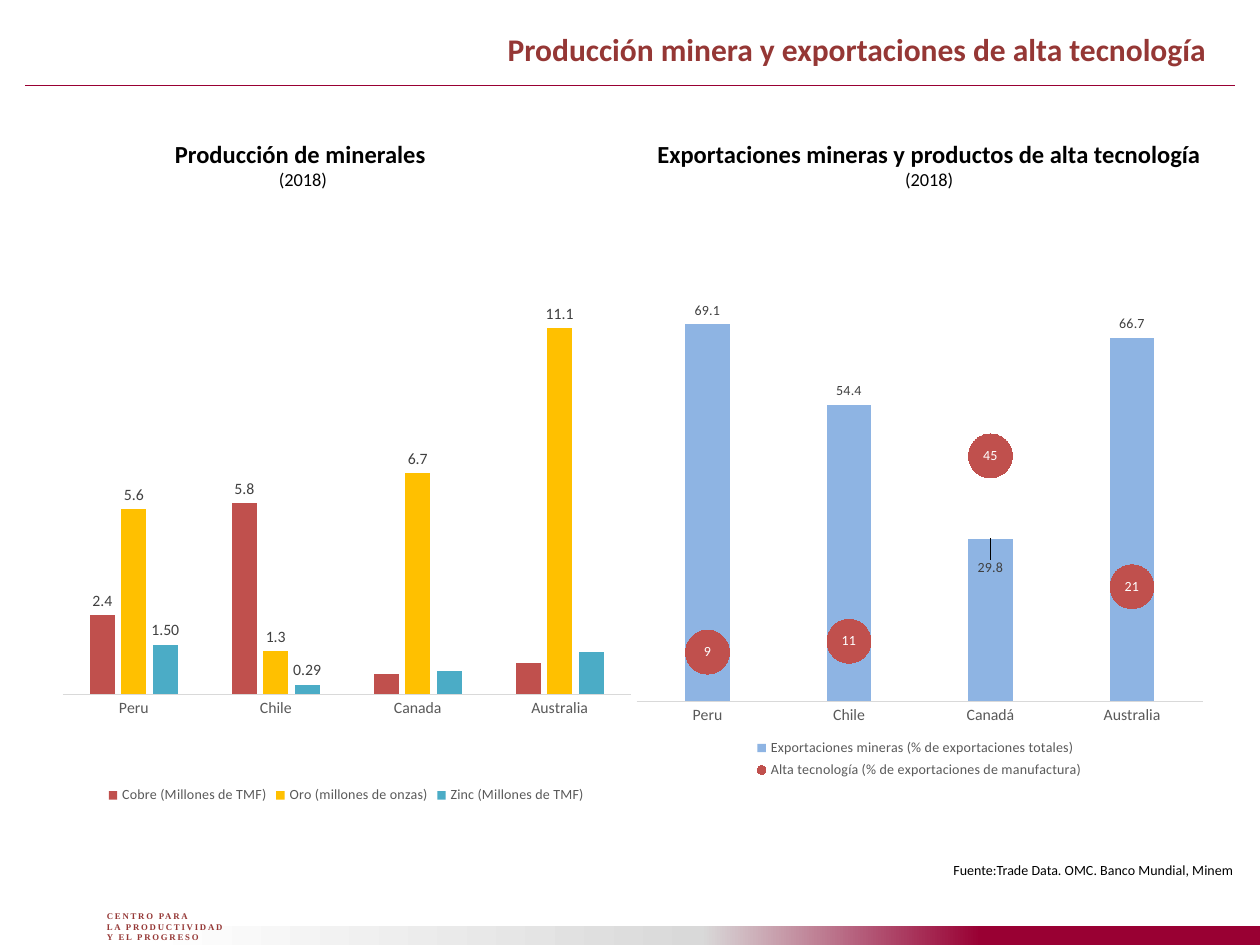
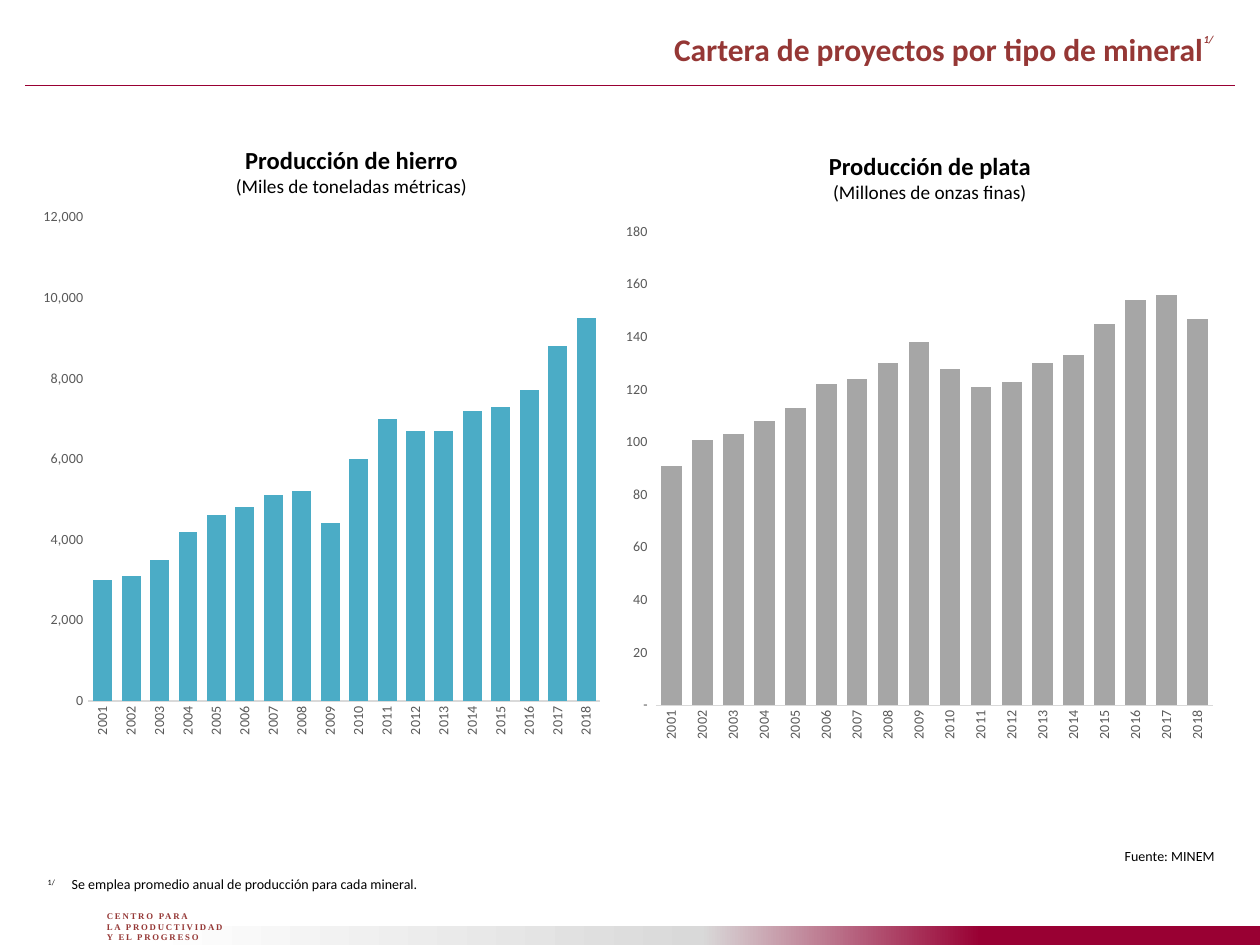
from copy import deepcopy

from lxml import etree
from pptx import Presentation
from pptx.chart.data import CategoryChartData
from pptx.dml.color import RGBColor
from pptx.enum.chart import XL_CHART_TYPE as ChartType, XL_LABEL_POSITION as LabelPos
from pptx.enum.chart import XL_LEGEND_POSITION as LegendPos, XL_MARKER_STYLE as Marker
from pptx.enum.chart import XL_TICK_MARK as Tick
from pptx.enum.shapes import MSO_CONNECTOR as Connector, MSO_SHAPE as Shape
from pptx.enum.text import PP_ALIGN as Align
from pptx.oxml import parse_xml
from pptx.oxml.ns import qn
from pptx.util import Inches, Pt

FONT = "Calibri"
WINE, BRICK, BLACK = "990033", "953735", "000000"
RED, GOLD, TEAL, BLUE, SILVER = "C0504D", "FFC000", "4BACC6", "8EB4E3", "A6A6A6"
AXIS_TEXT, LABEL_TEXT, AXIS_LINE = "595959", "404040", "D9D9D9"
BAND_STOPS = [(0.25, WINE), (0.5, "D9D9D9"), (1, "FFFFFF")]
CENTRE_NAME = ["CENTRO PARA ", "LA PRODUCTIVIDAD", "Y EL PROGRESO"]
A_NS = 'xmlns:a="http://schemas.openxmlformats.org/drawingml/2006/main"'
C_NS = 'xmlns:c="http://schemas.openxmlformats.org/drawingml/2006/chart"'
YEARS = [str(year) for year in range(2001, 2019)]

# series: name, values, colour, number format, label rule ("all", or labelled points)
MINERALS = dict(
    at=(0.35, 2.15, 4.8, 4.27), plot=(0.031, 0.051, 0.939, 0.736),
    categories=["Peru", "Chile", "Canada", "Australia"], gap=219, top=12, size=9,
    series=[
        ("Cobre (Millones de TMF)", [2.4, 5.8, 0.6, 0.95], RED, "General", [0, 1]),
        ("Oro (millones de onzas)", [5.6, 1.3, 6.7, 11.1], GOLD, "#,##0.0", "all"),
        ("Zinc (Millones de TMF)", [1.5, 0.29, 0.7, 1.29], TEAL, "0.00", [0, 1]),
    ])
EXPORTS = dict(
    at=(4.9, 1.95, 4.8, 4.27), plot=(0.032, 0.036, 0.936, 0.811),
    categories=["Peru", "Chile", "Canadá", "Australia"], gap=219, top=80, size=9,
    label_size=8,
    series=[
        ("Exportaciones mineras (% de exportaciones totales)",
         [69.1, 54.4, 29.8, 66.7], BLUE, "#,##0.0", "all"),
        ("Alta tecnología (% de exportaciones de manufactura)",
         [9, 11, 45, 21], RED, "#,##0", []),
    ])
IRON = dict(
    at=(0.2, 1.57, 4.57, 4.38), plot=(0.11, 0.035, 0.89, 0.877),
    categories=YEARS, gap=50, top=12000, step=2000, size=8, axis_format="#,##0",
    series=[("Hierro", [3000, 3100, 3500, 4200, 4600, 4800, 5100, 5200, 4400, 6000,
                        7000, 6700, 6700, 7200, 7300, 7700, 8800, 9500],
             TEAL, "#,##0", [])])
SILVER_OUTPUT = dict(
    at=(4.84, 1.69, 4.88, 4.27), plot=(0.075, 0.035, 0.906, 0.88),
    categories=YEARS, gap=50, top=180, step=20, size=8,
    axis_format='#,##0_);(#,##0);"-"_)',
    series=[("Plata", [91, 101, 103, 108, 113, 122, 124, 130, 138, 128, 121, 123, 130,
                       133, 145, 154, 156, 147], SILVER, "#,##0", [])])

# headings: place, bold line, line below, size of the line below
SLIDES = [
    dict(title="Producción minera y exportaciones de alta tecnología ", mark="",
         headings=[((5.01, 1.05, 4.73, 0.51),
                    "Exportaciones mineras y productos de alta tecnología", "(2018)", 10.5),
                   ((0.04, 1.05, 4.73, 0.51), "Producción de minerales ", "(2018)", 10.5)],
         charts=[MINERALS, EXPORTS],
         source=((7.44, 6.79, 2.45, 0.24), "Fuente:Trade Data. OMC. Banco Mundial, Minem"),
         note=None),
    dict(title="Cartera de proyectos por tipo de mineral", mark="1/",
         headings=[((0.43, 1.1, 4.72, 0.54), "Producción de hierro",
                    "(Miles de toneladas métricas)", 11),
                   ((5.02, 1.15, 4.72, 0.54), "Producción de plata",
                    "(Millones de onzas finas)", 11)],
         charts=[IRON, SILVER_OUTPUT],
         source=((8.82, 6.68, 0.92, 0.24), "Fuente: MINEM"),
         note=("1/", "\tSe emplea promedio anual de producción para cada mineral.")),
]


def rgb(code):
    """Turn a hex string into a colour."""
    return RGBColor.from_string(code)


def style(font, size, color, bold=False, name=FONT):
    """Set the usual properties of a font."""
    font.name, font.size, font.bold = name, Pt(size), bold
    font.color.rgb = rgb(color)


def add_text(slide, at, lines, align=Align.LEFT, wrap=True):
    """Add a text box; each line is (text, size, colour, bold, font). Return paragraphs."""
    frame = slide.shapes.add_textbox(*map(Inches, at)).text_frame
    frame.word_wrap = wrap
    for number, (text, *look) in enumerate(lines):
        paragraph = frame.add_paragraph() if number else frame.paragraphs[0]
        paragraph.add_run().text = text
        paragraph.alignment = align
        style(paragraph.font, *look)
    return frame.paragraphs


def raise_run(run, percent):
    """Set a run as superscript."""
    run.font._element.set("baseline", str(percent * 1000))


def add_frame(slide):
    """Draw the title rule, the bottom band and the name of the centre."""
    rule = slide.shapes.add_connector(Connector.STRAIGHT, Inches(0.2), Inches(0.68),
                                      Inches(9.8), Inches(0.68))
    rule.line.color.rgb = rgb(WINE)
    rule.line.width = Pt(0.75)
    rule._element.spPr.append(parse_xml(
        f'<a:effectLst {A_NS}><a:outerShdw blurRad="50800" dist="38100" dir="2700000">'
        f'<a:srgbClr val="{BLACK}"><a:alpha val="40000"/></a:srgbClr>'
        '</a:outerShdw></a:effectLst>'))

    band = slide.shapes.add_shape(Shape.RECTANGLE, *map(Inches, (1.14, 7.35, 8.86, 0.15)))
    band.shadow.inherit = False
    band.line.fill.background()
    band.fill.gradient()
    band.fill.gradient_angle = 180
    stops = band._element.spPr.find(".//" + qn("a:gsLst"))
    stops.append(deepcopy(stops[0]))
    for stop, (position, color) in zip(band.fill.gradient_stops, BAND_STOPS):
        stop.position = position
        stop.color.rgb = rgb(color)

    name_lines = [(line, 5, BRICK, True, "Times New Roman") for line in CENTRE_NAME]
    for paragraph in add_text(slide, (0.75, 7.18, 1.81, 0.35), name_lines):
        paragraph.runs[0].font._element.set("spc", "100")


def manual_layout(numbers, inner=False):
    """Return a chart layout: x and y, and w and h where given."""
    target = ('<c:layoutTarget val="inner"/><c:xMode val="edge"/><c:yMode val="edge"/>'
              if inner else "")
    parts = "".join(f'<c:{key} val="{value}"/>' for key, value in zip("xywh", numbers))
    return parse_xml(f"<c:layout {C_NS}><c:manualLayout>{target}{parts}"
                     "</c:manualLayout></c:layout>")


def style_axes(chart, content):
    """Format both axes; without a step the value axis is hidden."""
    across, up = chart.category_axis, chart.value_axis
    across.format.line.color.rgb = rgb(AXIS_LINE)
    across.format.line.width = Pt(0.75)
    up.minimum_scale, up.maximum_scale = 0, content["top"]
    for axis in (across, up):
        axis.has_major_gridlines = False
        axis.major_tick_mark = axis.minor_tick_mark = Tick.NONE
        style(axis.tick_labels.font, content["size"], AXIS_TEXT)
    if "step" in content:
        up.major_unit = content["step"]
        up.format.line.fill.background()
        up.tick_labels.number_format = content["axis_format"]
        up.tick_labels.number_format_is_linked = False
        across._element.find(".//" + qn("a:bodyPr")).set("rot", "-5400000")
    else:
        up.visible = False


def label_series(series, number_format, rule, size, color=LABEL_TEXT,
                 position=LabelPos.OUTSIDE_END):
    """Show the values of all points, or of the listed ones."""
    labels = series.data_labels
    labels.show_value = rule == "all"
    if rule == "all":
        labels.number_format, labels.number_format_is_linked = number_format, False
        labels.position = position
        style(labels.font, size, color)
        return
    for point in rule:
        label = series.points[point].data_label
        style(label.font, size, color)
        label.position = position


def add_columns(slide, content):
    """Add a clustered column chart."""
    data = CategoryChartData()
    data.categories = content["categories"]
    for name, values, _, number_format, _ in content["series"]:
        data.add_series(name, values, number_format)
    chart = slide.shapes.add_chart(ChartType.COLUMN_CLUSTERED,
                                   *map(Inches, content["at"]), data).chart
    style(chart.font, 10, BLACK)
    chart.has_title = False
    chart.has_legend = len(content["series"]) > 1
    if chart.has_legend:
        chart.legend.position = LegendPos.BOTTOM
        chart.legend.include_in_layout = False
        style(chart.legend.font, 8, AXIS_TEXT)
    columns = chart.plots[0]
    columns.gap_width, columns.overlap = content["gap"], -27
    columns.vary_by_categories = False
    style_axes(chart, content)
    for series, (_, _, color, number_format, rule) in zip(columns.series, content["series"]):
        series.format.fill.solid()
        series.format.fill.fore_color.rgb = rgb(color)
        if rule:
            label_series(series, number_format, rule, content.get("label_size", 9))
    plot_area = chart._chartSpace.chart.plotArea
    for layout in plot_area.findall(qn("c:layout")):
        plot_area.remove(layout)
    plot_area.insert(0, manual_layout(content["plot"], inner=True))
    return chart


def turn_into_markers(chart, color):
    """Move the last series to a second, hidden axis and show it as circles."""
    plot_area = chart._chartSpace.chart.plotArea
    bars = plot_area.find(qn("c:barChart"))
    moved = bars.findall(qn("c:ser"))[-1]
    for tag in ("c:spPr", "c:invertIfNegative"):
        for part in moved.findall(qn(tag)):
            moved.remove(part)
    lines = parse_xml(
        f'<c:lineChart {C_NS}><c:grouping val="standard"/><c:varyColors val="0"/>'
        '<c:marker val="1"/><c:axId val="5001"/><c:axId val="5002"/></c:lineChart>')
    lines.insert(2, moved)
    bars.addnext(lines)

    last_axis = plot_area.find(qn("c:valAx"))
    for tag, own, other in (("c:valAx", "5002", "5001"), ("c:catAx", "5001", "5002")):
        axis = deepcopy(plot_area.find(qn(tag)))
        axis.find(qn("c:axId")).set("val", own)
        axis.find(qn("c:crossAx")).set("val", other)
        axis.find(qn("c:delete")).set("val", "1")
        if tag == "c:valAx":
            axis.find(qn("c:axPos")).set("val", "r")
            axis.find(qn("c:crosses")).set("val", "max")
        last_axis.addnext(axis)
        last_axis = axis

    series = chart.plots[1].series[0]
    series.smooth = False
    series.format.line.fill.background()
    series.marker.style, series.marker.size = Marker.CIRCLE, 25
    series.marker.format.fill.solid()
    series.marker.format.fill.fore_color.rgb = rgb(color)
    series.marker.format.line.color.rgb = rgb(color)
    label_series(series, "#,##0", "all", 8, "FFFFFF", LabelPos.CENTER)


def lower_label(series, point, shift):
    """Move the label of one point down by a share of the chart height."""
    label = series.points[point].data_label
    style(label.font, 8, LABEL_TEXT)
    label.position = LabelPos.OUTSIDE_END
    first = series._element.find(".//" + qn("c:dLbl") + "/" + qn("c:idx"))
    first.addnext(manual_layout((0, shift)))


def build_slide(deck, content):
    """Build one slide from its content."""
    slide = deck.slides.add_slide(deck.slide_layouts[6])
    add_frame(slide)
    title, = add_text(slide, (0.28, 0.13, 9.45, 0.47),
                      [(content["title"], 18, BRICK, True)], Align.RIGHT)
    title.line_spacing = 1.2
    if content["mark"]:
        mark = title.add_run()
        mark.text = content["mark"]
        mark.font.size, mark.font.italic = Pt(10.5), True
        raise_run(mark, 100)
    for at, heading, detail, size in content["headings"]:
        add_text(slide, at, [(heading, 14, BLACK, True), (detail, size, BLACK)], Align.CENTER)
    at, source = content["source"]
    add_text(slide, at, [(source, 8, BLACK)], Align.RIGHT, wrap=False)
    if content["note"]:
        mark, text = content["note"]
        note, = add_text(slide, (0.28, 6.9, 9.29, 0.24), [(mark, 8, BLACK)])
        raise_run(note.runs[0], 30)
        note.add_run().text = text
        indent = note._p.get_or_add_pPr()
        indent.set("marL", str(Inches(0.19)))
        indent.set("indent", str(-Inches(0.19)))
    for chart_content in content["charts"]:
        chart = add_columns(slide, chart_content)
        if chart_content is EXPORTS:
            turn_into_markers(chart, RED)
            lower_label(chart.plots[0].series[0], 2, 0.08)


presentation = Presentation()
presentation.slide_width, presentation.slide_height = Inches(10), Inches(7.5)
for slide_content in SLIDES:
    build_slide(presentation, slide_content)
presentation.save("out.pptx")
